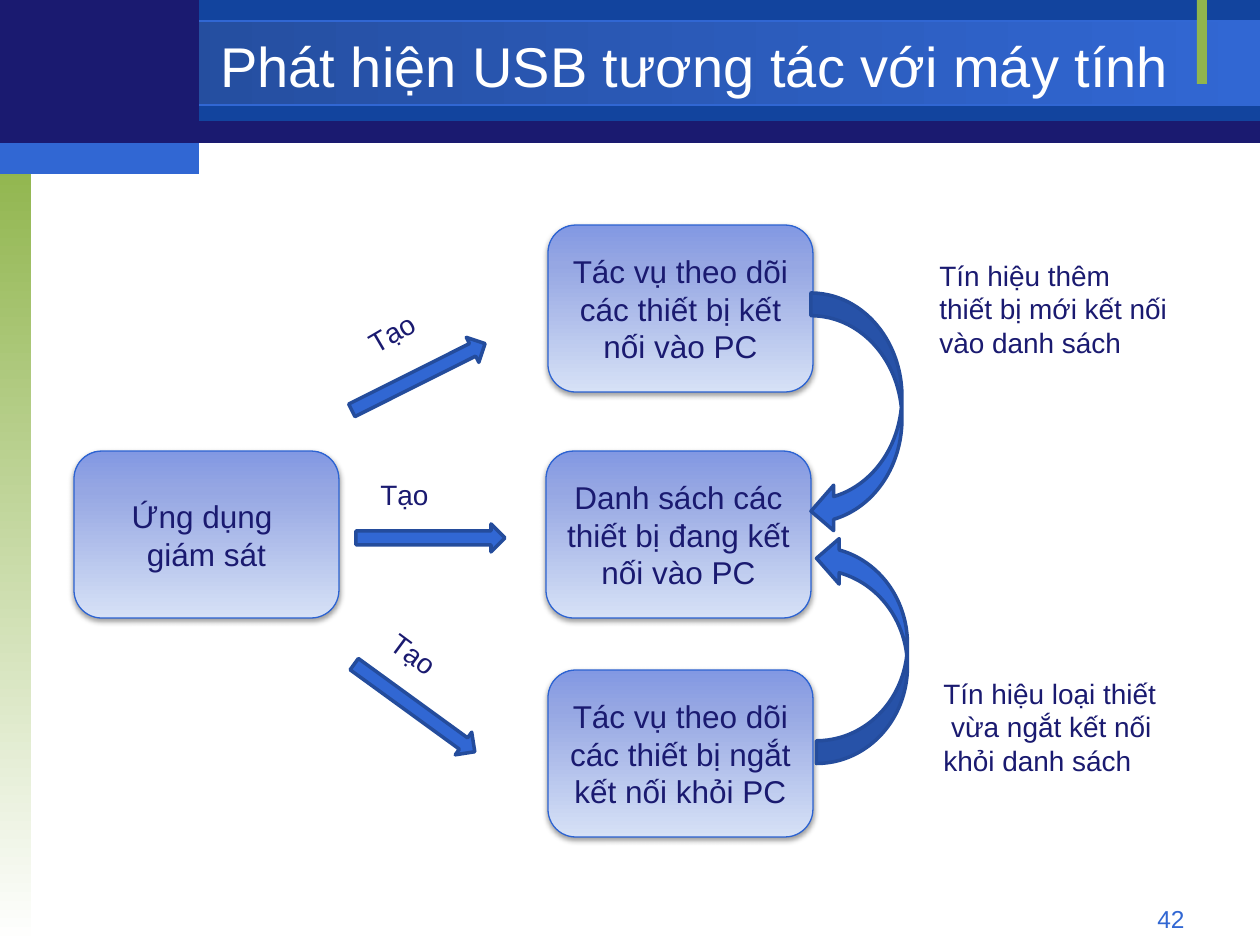
from copy import deepcopy

from lxml import etree
from pptx import Presentation
from pptx.dml.color import RGBColor
from pptx.enum.shapes import MSO_SHAPE as Shape
from pptx.enum.text import MSO_ANCHOR as Anchor, PP_ALIGN as Align
from pptx.oxml import parse_xml
from pptx.oxml.ns import nsdecls
from pptx.util import Emu, Pt

PX = 914400 / 126
NAVY = RGBColor(0x1A, 0x1A, 0x70)
DEEP_BLUE = RGBColor(0x12, 0x44, 0x9E)
BAND_BLUE = RGBColor(0x23, 0x4A, 0x97)
BLUE = RGBColor(0x31, 0x67, 0xD3)
ARROW_EDGE = RGBColor(0x24, 0x4C, 0x9C)
BOX_EDGE = RGBColor(0x2C, 0x63, 0xD2)
BOX_LIGHT = RGBColor(0xD6, 0xE1, 0xF6)
BOX_MIDDLE = RGBColor(0x96, 0xA7, 0xE3)
BOX_DARK = RGBColor(0x82, 0x98, 0xE3)
GREEN = RGBColor(0x90, 0xB5, 0x4D)
WHITE = RGBColor(0xFF, 0xFF, 0xFF)
SHADOW = (
    f'<a:effectLst {nsdecls("a")}><a:outerShdw blurRad="39400" dist="20300" dir="5400000" rotWithShape="0">'
    '<a:srgbClr val="000000"><a:alpha val="38000"/></a:srgbClr></a:outerShdw></a:effectLst>'
)

presentation = Presentation()
presentation.slide_width = Emu(round(1260 * PX))
presentation.slide_height = Emu(round(945 * PX))
slide = presentation.slides.add_slide(presentation.slide_layouts[5])


def draw(kind, bounds, fill, edge=None, edge_width=0.75, angle=0):
    shape = slide.shapes.add_shape(kind, *[Emu(round(value * PX)) for value in bounds])
    shape.shadow.inherit = False
    if isinstance(fill, RGBColor):
        shape.fill.solid()
        shape.fill.fore_color.rgb = fill
    else:
        shape.fill.gradient()
        shape.fill.gradient_angle = angle
        stops = shape.fill.gradient_stops
        if len(fill) == 3:
            stops[0]._gs.addnext(deepcopy(stops[0]._gs))
        for stop, (position, color) in zip(shape.fill.gradient_stops, fill):
            stop.position = position
            stop.color.rgb = color
    if edge is None:
        shape.line.fill.background()
    else:
        shape.line.color.rgb = edge
        shape.line.width = Pt(edge_width)
    return shape


def write(shape, paragraphs, size, color=NAVY, align=Align.LEFT, anchor=Anchor.TOP):
    frame = shape.text_frame
    frame.word_wrap = True
    frame.vertical_anchor = anchor
    for index, lines in enumerate(paragraphs):
        paragraph = frame.add_paragraph() if index else frame.paragraphs[0]
        paragraph.alignment = align
        for number, line in enumerate(lines.split("\n")):
            if number:
                paragraph.add_line_break()
            run = paragraph.add_run()
            run.text = line
            run.font.name = "Arial"
            run.font.size = Pt(size)
            run.font.color.rgb = color


draw(Shape.RECTANGLE, (0, 1, 1260, 142), NAVY)
draw(Shape.RECTANGLE, (199, 0, 1061, 121), DEEP_BLUE)
draw(Shape.RECTANGLE, (0, 21, 1260, 84), [(0, BAND_BLUE), (1, BLUE)], BLUE)
draw(Shape.RECTANGLE, (0, 158, 31, 787), [(0, GREEN), (1, WHITE)], angle=270)
draw(Shape.RECTANGLE, (1197, 0, 10, 84), GREEN)
draw(Shape.RECTANGLE, (0, 0, 199, 147), NAVY)
draw(Shape.RECTANGLE, (0, 143, 199, 31), BLUE)

title = slide.shapes.title
title.left, title.top, title.width, title.height = [
    Emu(round(value * PX)) for value in (199, 29, 992, 73)
]
write(title, ["Phát hiện USB tương tác với máy tính"], 32, WHITE, Align.CENTER, Anchor.MIDDLE)
slide.shapes._spTree.append(title._element)

box_gradient = [(0, BOX_LIGHT), (0.76, BOX_MIDDLE), (1, BOX_DARK)]
boxes = [
    (546, 451, ["Danh sách các thiết bị đang kết nối vào PC"]),
    (548, 225, ["Tác vụ theo dõi các thiết bị kết nối vào PC"]),
    (548, 670, ["Tác vụ theo dõi các thiết bị ngắt kết nối khỏi PC"]),
    (74, 451, ["Ứng dụng ", "giám sát"]),
]
for left, top, paragraphs in boxes:
    box = draw(Shape.ROUNDED_RECTANGLE, (left, top, 265, 167), box_gradient, BOX_EDGE, angle=90)
    properties = box._element.spPr
    properties.replace(properties.find("{*}effectLst"), parse_xml(SHADOW))
    write(box, paragraphs, 18, align=Align.CENTER, anchor=Anchor.MIDDLE)

arrows = [
    (Shape.RIGHT_ARROW, (344, 363, 149, 28), 333.4),
    (Shape.RIGHT_ARROW, (356, 524, 149, 28), 0),
    (Shape.RIGHT_ARROW, (340, 694, 149, 28), 36),
    (Shape.CURVED_LEFT_ARROW, (811, 293, 91, 241), 0),
    (Shape.CURVED_UP_ARROW, (748, 604, 228, 91), 270),
]
for kind, bounds, rotation in arrows:
    arrow = draw(kind, bounds, BLUE, ARROW_EDGE, 2)
    arrow.rotation = rotation

labels = [
    ((354, 305, 91, 47), 329.7, ["Tạo"], 16, NAVY, Align.LEFT),
    ((368, 471, 91, 47), 0, ["Tạo"], 16, NAVY, Align.LEFT),
    ((377, 631, 74, 47), 36.6, ["Tạo"], 16, NAVY, Align.LEFT),
    ((927, 252, 263, 115), 0, ["Tín hiệu thêm", "thiết bị mới kết nối", "vào danh sách"], 16, NAVY, Align.LEFT),
    ((931, 670, 240, 115), 0, ["Tín hiệu loại thiết\n vừa ngắt kết nối\nkhỏi danh sách"], 16, NAVY, Align.LEFT),
    ((903, 898, 294, 34), 0, ["42"], 14, BLUE, Align.RIGHT),
]
for bounds, rotation, paragraphs, size, color, align in labels:
    label = slide.shapes.add_textbox(*[Emu(round(value * PX)) for value in bounds])
    label.rotation = rotation
    write(label, paragraphs, size, color, align)

presentation.save("out.pptx")
